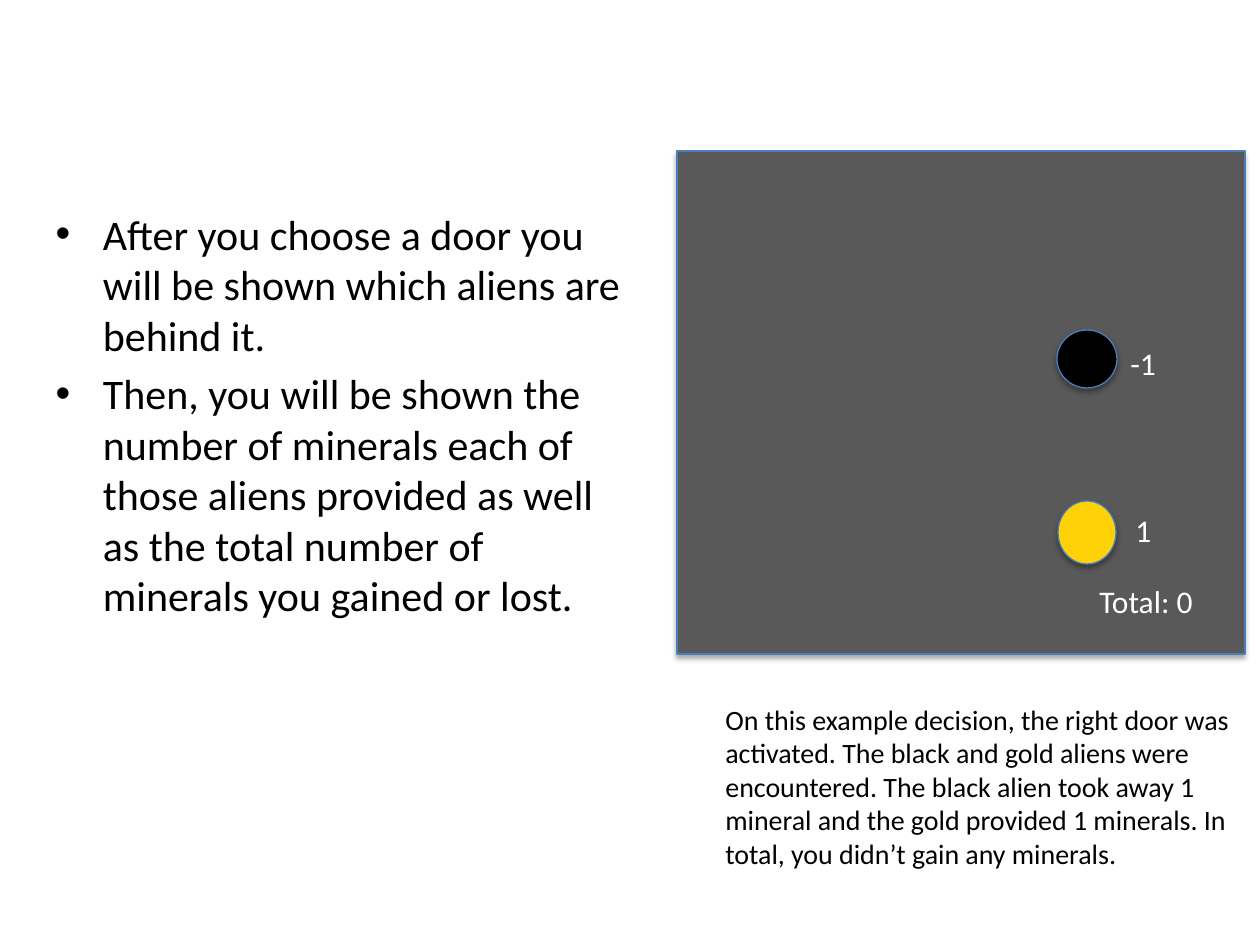
"""Build the slide on what the aliens behind a chosen door give or take."""
from lxml import etree
from pptx import Presentation
from pptx import util as u
from pptx.dml.color import RGBColor
from pptx.enum import shapes, text
from pptx.oxml.ns import qn

POINTS = [
    "After you choose a door you will be shown which aliens are behind it.",
    "Then, you will be shown the number of minerals each of those aliens "
    "provided as well as the total number of minerals you gained or lost.",
]
BODY = (43, 202, 604, 494)
NOTE = (
    "On this example decision, the right door was activated. The black and "
    "gold aliens were encountered. The black alien took away 1 mineral and "
    "the gold provided 1 minerals. In total, you didn’t gain any minerals."
)
SHAPES = [
    ("RECTANGLE", "panel", (677, 151, 568, 503)),
    ("OVAL", "black", (1057, 330, 60, 58)),
    ("OVAL", "gold", (1058, 501, 58, 63)),
]
LABELS = [
    (NOTE, "note", "black", True, (713, 696, 551, 183)),
    ("-1", "score", "white", False, (1118, 338, 52, 50)),
    ("1", "score", "white", False, (1123, 505, 42, 50)),
    ("Total: 0", "score", "white", False, (1087, 576, 122, 50)),
]
THEME = {
    "font": "Calibri",
    "size": {"body": 24, "note": 16, "score": 18},
    "color": {
        "black": "000000", "white": "FFFFFF", "panel": "595959",
        "gold": "FFD208", "edge": "4B7EBC",
    },
}
SHADOW = {"blurRad": u.Pt(3.1), "dist": u.Pt(1.8), "dir": 90 * 60000, "rotWithShape": 0}
SCALE = u.Inches(1) / 126


def emu(box):
    return [round(n * SCALE) for n in box]


def tint(name):
    return RGBColor.from_string(THEME["color"][name])


def style(font, role, color):
    form = {"name": THEME["font"], "size": u.Pt(THEME["size"][role])}
    for key, val in form.items():
        setattr(font, key, val)
    font.color.rgb = tint(color)


def shade(shape):
    shape.shadow.inherit = False
    group = shape._element.spPr.find(qn("a:effectLst"))
    outer = etree.SubElement(group, qn("a:outerShdw"))
    for key, val in SHADOW.items():
        outer.set(key, str(val))
    hue = etree.SubElement(outer, qn("a:srgbClr"), val=THEME["color"]["black"])
    etree.SubElement(hue, qn("a:alpha"), val="35000")


def add_body(slide):
    body = slide.placeholders[1]
    body.left, body.top, body.width, body.height = emu(BODY)
    body.text_frame.text = "\n".join(POINTS)
    for para in body.text_frame.paragraphs:
        for run in para.runs:
            style(run.font, "body", "black")


def add_form(slide, kind, color, box):
    form = slide.shapes.add_shape(getattr(shapes.MSO_SHAPE, kind), *emu(box))
    form.fill.solid()
    form.fill.fore_color.rgb = tint(color)
    form.line.color.rgb = tint("edge")
    form.line.width = u.Pt(0.75)
    shade(form)


def add_label(slide, words, role, color, wrap, box):
    frame = slide.shapes.add_textbox(*emu(box)).text_frame
    frame.word_wrap = wrap
    frame.auto_size = text.MSO_AUTO_SIZE.SHAPE_TO_FIT_TEXT
    run = frame.paragraphs[0].add_run()
    run.text = words
    style(run.font, role, color)


def main():
    deck = Presentation()
    deck.slide_width, deck.slide_height = u.Inches(10), u.Inches(7.5)
    slide = deck.slides.add_slide(deck.slide_layouts[1])
    title = slide.shapes.title._element
    title.getparent().remove(title)
    add_body(slide)
    for item in SHAPES:
        add_form(slide, *item)
    for item in LABELS:
        add_label(slide, *item)
    deck.save("out.pptx")


if __name__ == "__main__":
    main()
